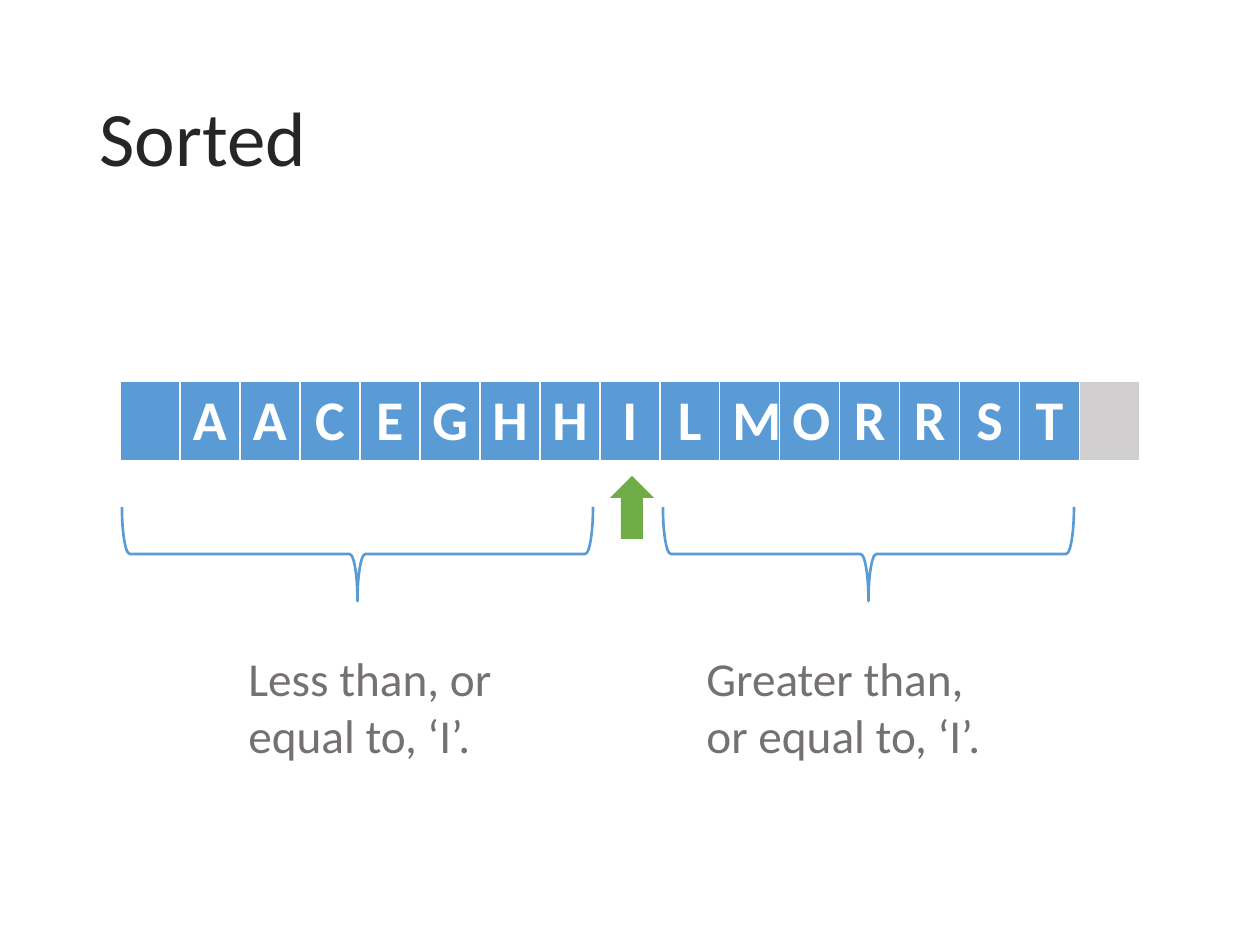
from dataclasses import dataclass

from lxml import etree
from pptx import Presentation
from pptx.dml.color import RGBColor
from pptx.enum.shapes import MSO_SHAPE
from pptx.enum.text import MSO_ANCHOR, PP_ALIGN
from pptx.oxml.ns import qn
from pptx.util import Emu, Pt

UP_ARROW = MSO_SHAPE.UP_ARROW
LEFT_BRACE = MSO_SHAPE.LEFT_BRACE
LEFT = PP_ALIGN.LEFT
CENTER = PP_ALIGN.CENTER
MIDDLE = MSO_ANCHOR.MIDDLE
TITLE_ONLY = 5
PX_PER_INCH = 126


@dataclass(frozen=True)
class Theme:
    font: str = "Calibri"
    title: str = "262626"
    note: str = "767171"
    white: str = "FFFFFF"
    blue: str = "5B9BD5"
    gray: str = "D0CECE"
    green: str = "70AD47"
    title_size: int = 44
    cell_size: int = 32
    note_size: int = 27
    brace_line: float = 1.5


def px(value):
    return Emu(round(value * 914400 / PX_PER_INCH))


def box(*lengths):
    return [px(length) for length in lengths]


class SlideBuilder:
    """Draws styled elements on one slide."""

    def __init__(self, slide, theme):
        self.slide = slide
        self.theme = theme

    def style(self, paragraph, size, color, alignment=LEFT, bold=False):
        paragraph.alignment = alignment
        font = paragraph.font
        font.name = self.theme.font
        font.size = Pt(size)
        font.bold = bold
        font.color.rgb = RGBColor.from_string(color)

    def title(self, text, left, top, width, height):
        shape = self.slide.shapes.title
        shape.left, shape.top, shape.width, shape.height = box(left, top, width, height)
        frame = shape.text_frame
        frame.text = text
        frame.vertical_anchor = MIDDLE
        paragraph = frame.paragraphs[0]
        paragraph.line_spacing = 0.9
        self.style(paragraph, self.theme.title_size, self.theme.title)

    def borders(self, cell):
        properties = cell._tc.get_or_add_tcPr()
        widths = {"a:lnL": 1, "a:lnR": 1, "a:lnT": 1, "a:lnB": 3}
        for index, (tag, width) in enumerate(widths.items()):
            line = etree.Element(qn(tag), w=str(Pt(width)))
            fill = etree.SubElement(line, qn("a:solidFill"))
            etree.SubElement(fill, qn("a:srgbClr"), val=self.theme.white)
            properties.insert(index, line)

    def letter_row(self, letters, fills, left, top, column_width, height):
        count = len(letters)
        bounds = box(left, top, column_width * count, height)
        table = self.slide.shapes.add_table(1, count, *bounds).table
        for column, letter, fill in zip(table.columns, letters, fills):
            column.width = px(column_width)
        for cell, letter, fill in zip(table.rows[0].cells, letters, fills):
            cell.fill.solid()
            cell.fill.fore_color.rgb = RGBColor.from_string(fill)
            self.borders(cell)
            cell.text = letter
            self.style(cell.text_frame.paragraphs[0], self.theme.cell_size,
                       self.theme.white, CENTER, bold=True)

    def arrow(self, left, top, width, height):
        shape = self.slide.shapes.add_shape(UP_ARROW, *box(left, top, width, height))
        shape.shadow.inherit = False
        shape.fill.solid()
        shape.fill.fore_color.rgb = RGBColor.from_string(self.theme.green)
        shape.line.fill.background()

    def brace_below(self, left, top, width, height):
        shift = (width - height) / 2
        bounds = box(left + shift, top - shift, height, width)
        shape = self.slide.shapes.add_shape(LEFT_BRACE, *bounds)
        shape.rotation = 270
        shape.shadow.inherit = False
        shape.fill.background()
        shape.line.color.rgb = RGBColor.from_string(self.theme.blue)
        shape.line.width = Pt(self.theme.brace_line)

    def note(self, text, left, top, width, height):
        shape = self.slide.shapes.add_textbox(*box(left, top, width, height))
        frame = shape.text_frame
        frame.word_wrap = True
        frame.text = text
        self.style(frame.paragraphs[0], self.theme.note_size, self.theme.note)


def main():
    presentation = Presentation()
    presentation.slide_width, presentation.slide_height = box(1260, 945)
    slide = presentation.slides.add_slide(presentation.slide_layouts[TITLE_ONLY])
    theme = Theme()
    builder = SlideBuilder(slide, theme)

    builder.title("Sorted", 87, 50, 1086, 183)
    letters = ["", *"AACEGHHILMORRST", ""]
    fills = [theme.blue] * (len(letters) - 1) + [theme.gray]
    builder.letter_row(letters, fills, 120, 381, 60, 79)
    builder.arrow(610, 476, 44, 63)
    for left, width in ((122, 471), (663, 411)):
        builder.brace_below(left, 507, width, 94)
    builder.note("Less than, or equal to, ‘I’.", 236, 643, 280, 127)
    builder.note("Greater than, or equal to, ‘I’.", 694, 643, 316, 127)

    presentation.save("out.pptx")


if __name__ == "__main__":
    main()
